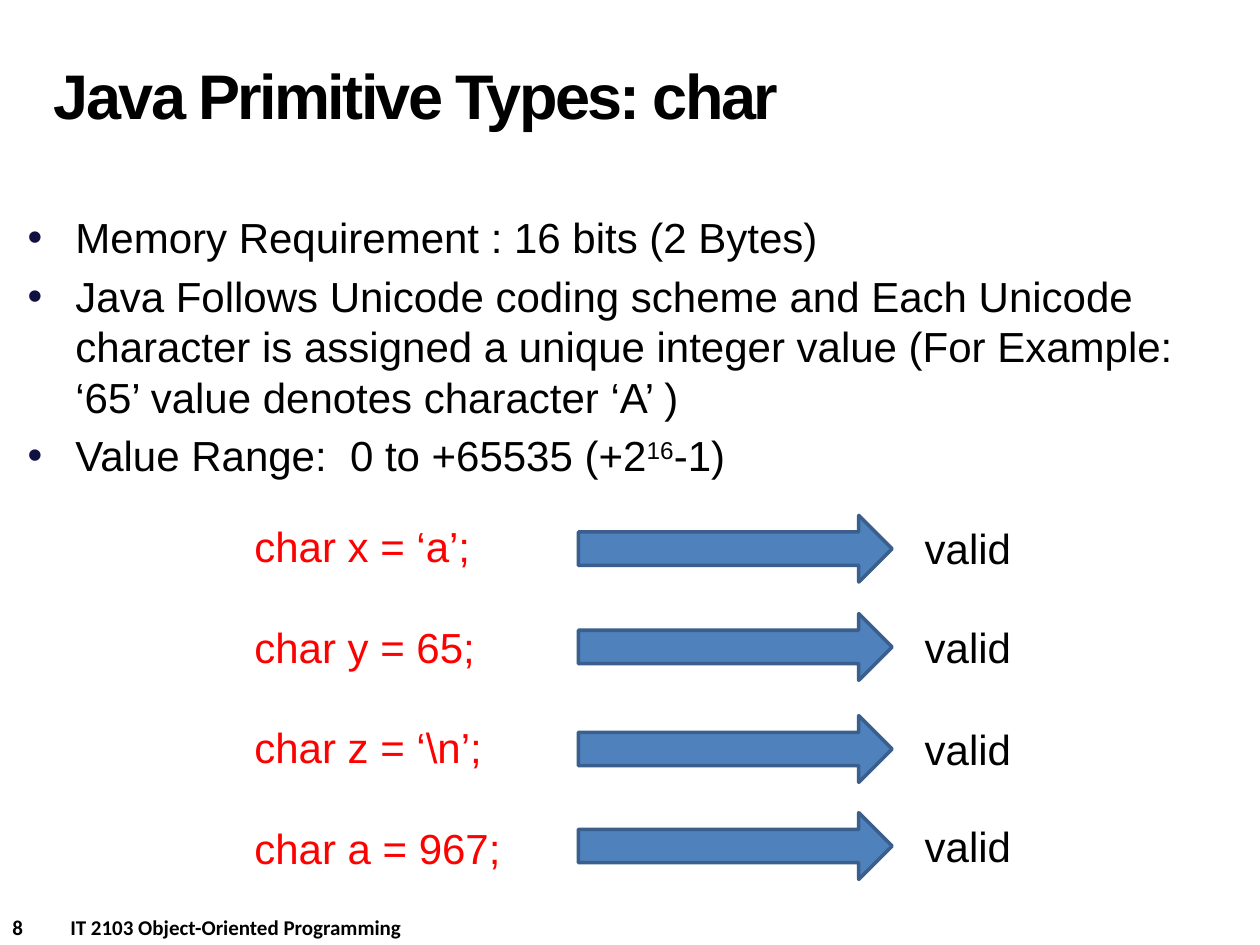
import dataclasses

import lxml.etree
import pptx
import pptx.dml.color
import pptx.enum.shapes
import pptx.enum.text
import pptx.oxml.ns
import pptx.slide
import pptx.util

RGBColor = pptx.dml.color.RGBColor
BLACK = RGBColor(0x00, 0x00, 0x00)
RED = RGBColor(0xFF, 0x00, 0x00)
BLUE = RGBColor(0x4F, 0x81, 0xBD)
DARK_BLUE = RGBColor(0x3A, 0x5F, 0x8C)
BULLET_NAVY = "101141"

CELL = pptx.util.Inches(0.1)  # grid of 100 columns by 75 rows
LINE = pptx.util.Pt(28.8)
BODY = {"name": "Arial", "size": pptx.util.Pt(24)}
TITLE = {"name": "Arial", "size": pptx.util.Pt(36), "bold": True}
FOOTER = {"name": "Calibri", "size": pptx.util.Pt(12), "bold": True}


@dataclasses.dataclass(frozen=True)
class Box:
    """Position and size in grid columns and rows."""
    col: float
    row: float
    cols: float
    rows: float

    def emu(self) -> list[int]:
        return [round(n * CELL) for n in dataclasses.astuple(self)]


@dataclasses.dataclass(frozen=True)
class Run:
    text: str
    raised: bool = False


BULLETS = [
    [Run("Memory Requirement : 16 bits (2 Bytes)")],
    [Run("Java Follows Unicode coding scheme and Each Unicode character is assigned "
         "a unique integer value (For Example: ‘65’ value denotes character ‘A’ )")],
    [Run("Value Range:  0 to +65535 (+2"), Run("16", raised=True), Run("-1)")],
]
DECLARATIONS = [[Run(t)] for t in
                ("char x = ‘a’;", "char y = 65;", "char z = ‘\\n’;", "char a = 967;")]
ARROW_ROWS = (40.9, 48.7, 56.8, 64.5)


def add_text(slide: pptx.slide.Slide, box: Box, paragraphs: list[list[Run]],
             font: dict, color: RGBColor = BLACK, **spacing):
    """Add a text box; spacing holds paragraph attributes such as line_spacing."""
    tf = slide.shapes.add_textbox(*box.emu()).text_frame
    tf.word_wrap = True
    for i, runs in enumerate(paragraphs):
        p = tf.paragraphs[0] if i == 0 else tf.add_paragraph()
        for name, value in spacing.items():
            setattr(p, name, value)
        for run in runs:
            r = p.add_run()
            r.text = run.text
            for name, value in font.items():
                setattr(r.font, name, value)
            r.font.color.rgb = color
            if run.raised:
                r.font._element.set("baseline", "30000")
    return tf


def add_child(parent, tag: str, **attributes: str):
    return lxml.etree.SubElement(parent, pptx.oxml.ns.qn(tag), attributes)


def add_bullet(p) -> None:
    indent = pptx.util.Inches(0.38)
    pPr = p._p.get_or_add_pPr()
    pPr.set("marL", str(indent))
    pPr.set("indent", str(-indent))
    add_child(add_child(pPr, "a:buClr"), "a:srgbClr", val=BULLET_NAVY)
    add_child(pPr, "a:buFont", typeface="Arial")
    add_child(pPr, "a:buChar", char="•")


def add_arrow(slide: pptx.slide.Slide, box: Box) -> None:
    sp = slide.shapes.add_shape(pptx.enum.shapes.MSO_SHAPE.RIGHT_ARROW, *box.emu())
    sp.shadow.inherit = False
    sp.fill.solid()
    sp.fill.fore_color.rgb = BLUE
    sp.line.color.rgb = DARK_BLUE
    sp.line.width = pptx.util.Pt(2)


def main() -> None:
    prs = pptx.Presentation()
    prs.slide_width, prs.slide_height = 100 * CELL, 75 * CELL
    s = prs.slides.add_slide(prs.slide_layouts[6])

    tf = add_text(s, Box(0, 72.1, 50, 3),
                  [[Run("8\tIT 2103 Object-Oriented Programming")]], FOOTER)
    tabs = add_child(tf.paragraphs[0]._p.get_or_add_pPr(), "a:tabLst")
    add_child(tabs, "a:tab", pos=str(pptx.util.Inches(0.46)), algn="l")

    tf = add_text(s, Box(1.2, 16.3, 98.8, 23.5), BULLETS, BODY,
                  line_spacing=LINE, space_before=pptx.util.Pt(4.8))
    for p in tf.paragraphs:
        add_bullet(p)

    tf = add_text(s, Box(3.3, 1.7, 69.2, 12.5), [[Run("Java Primitive Types: char")]],
                  TITLE, line_spacing=pptx.util.Pt(36))
    tf.vertical_anchor = pptx.enum.text.MSO_ANCHOR.MIDDLE
    tf.paragraphs[0].runs[0].font._element.set("spc", "-150")

    add_text(s, Box(19.2, 40.8, 22.7, 29.3), DECLARATIONS, BODY, RED,
             line_spacing=LINE, space_after=LINE)
    for row in ARROW_ROWS:
        add_arrow(s, Box(45.9, row, 24.9, 5.3))
        add_text(s, Box(72.4, row + 0.1, 9.9, 5), [[Run("valid")]], BODY,
                 line_spacing=LINE)

    prs.save("out.pptx")


if __name__ == "__main__":
    main()
